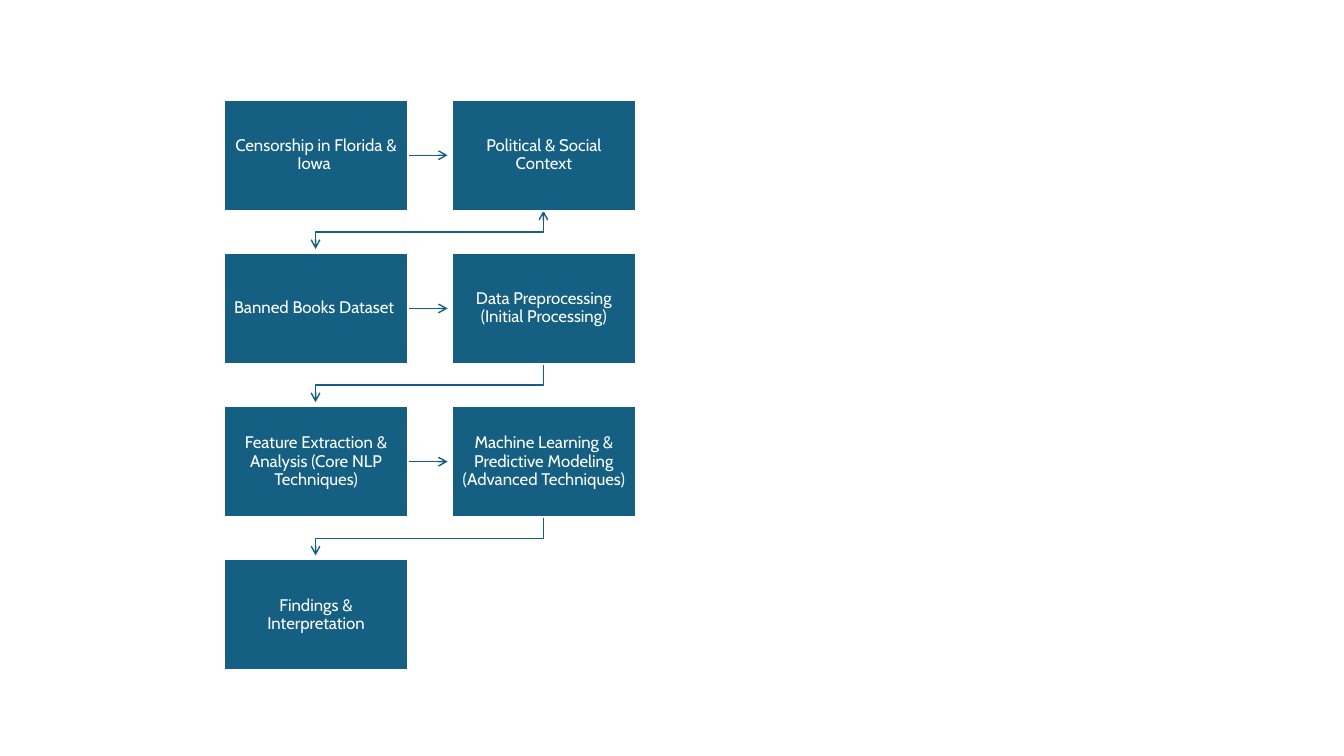
from dataclasses import dataclass

from lxml.etree import SubElement
from pptx import Presentation
from pptx.dml.color import RGBColor
from pptx.enum.shapes import MSO_CONNECTOR as Connector, MSO_SHAPE as Shape
from pptx.enum.text import MSO_ANCHOR as Anchor, PP_ALIGN as Align
from pptx.oxml.ns import qn
from pptx.util import Pt

PX = 9144


@dataclass(frozen=True)
class Theme:
    teal: RGBColor = RGBColor(0x15, 0x60, 0x82)
    white: RGBColor = RGBColor(0xFF, 0xFF, 0xFF)
    font: str = "Cabin"
    text_size: Pt = Pt(12)
    border: Pt = Pt(1.5)
    arrow: Pt = Pt(1)


THEME = Theme()
LEFT, TOP = 222, 99
STEP_WIDTH, STEP_HEIGHT = 183, 110
COLUMN_PITCH, ROW_PITCH = 226, 152
INSET = 9
TIP_GAP = 4
BEND_DROP = 21
BOTTOM_SIDE, RIGHT_SIDE = 2, 3

STAGES = [
    ["Censorship in Florida & Iowa ", "Political & Social Context"],
    ["Banned Books Dataset ", "Data Preprocessing (Initial Processing)"],
    [
        "Feature Extraction & Analysis (Core NLP Techniques)",
        "Machine Learning & Predictive Modeling (Advanced Techniques)",
    ],
    ["Findings & Interpretation"],
]


def px(length):
    return length * PX


def add_step(slide, label, left, top):
    step = slide.shapes.add_shape(
        Shape.RECTANGLE, px(left), px(top), px(STEP_WIDTH), px(STEP_HEIGHT)
    )
    step.shadow.inherit = False
    step.fill.solid()
    step.fill.fore_color.rgb = THEME.teal
    step.line.color.rgb = THEME.white
    step.line.width = THEME.border
    frame = step.text_frame
    frame.word_wrap = True
    frame.vertical_anchor = Anchor.MIDDLE
    frame.margin_left = frame.margin_right = px(INSET)
    frame.margin_top = frame.margin_bottom = px(INSET)
    frame.text = label
    paragraph = frame.paragraphs[0]
    paragraph.alignment = Align.CENTER
    paragraph.line_spacing = 0.9
    paragraph.font.name = THEME.font
    paragraph.font.size = THEME.text_size
    paragraph.font.color.rgb = THEME.white
    return step


def style_arrow(slide, arrow, ends):
    arrow.line.color.rgb = THEME.teal
    arrow.line.width = THEME.arrow
    outline = arrow.line._get_or_add_ln()
    for end in ends:
        SubElement(outline, qn(f"a:{end}"), type="arrow")
    slide.shapes._spTree.insert(2, arrow._element)


def add_row_arrow(slide, step, left, top):
    middle = top + STEP_HEIGHT // 2
    arrow = slide.shapes.add_connector(
        Connector.STRAIGHT,
        px(left + STEP_WIDTH),
        px(middle),
        px(left + COLUMN_PITCH - TIP_GAP),
        px(middle),
    )
    arrow.begin_connect(step, RIGHT_SIDE)
    style_arrow(slide, arrow, ["tailEnd"])
    SubElement(arrow._element.spPr, qn("a:effectLst"))


def add_return_arrow(slide, top, ends):
    target_x = LEFT + STEP_WIDTH // 2
    source_x = target_x + COLUMN_PITCH
    bottom = top + STEP_HEIGHT
    bend = bottom + BEND_DROP
    tip = top + ROW_PITCH - TIP_GAP
    outline = slide.shapes.build_freeform(source_x, bottom, scale=PX)
    outline.add_line_segments(
        [(source_x, bend), (target_x, bend), (target_x, tip)], close=False
    )
    arrow = outline.convert_to_shape()
    arrow.shadow.inherit = False
    arrow.fill.background()
    style_arrow(slide, arrow, ends)


def main():
    deck = Presentation()
    deck.slide_width, deck.slide_height = px(1333), px(750)
    slide = deck.slides.add_slide(deck.slide_layouts[6])

    for row, labels in enumerate(STAGES):
        top = TOP + row * ROW_PITCH
        steps = [
            add_step(slide, label, LEFT + column * COLUMN_PITCH, top)
            for column, label in enumerate(labels)
        ]
        if len(steps) > 1:
            add_row_arrow(slide, steps[0], LEFT, top)
            ends = ["headEnd", "tailEnd"] if row == 0 else ["tailEnd"]
            add_return_arrow(slide, top, ends)

    deck.save("out.pptx")


if __name__ == "__main__":
    main()
